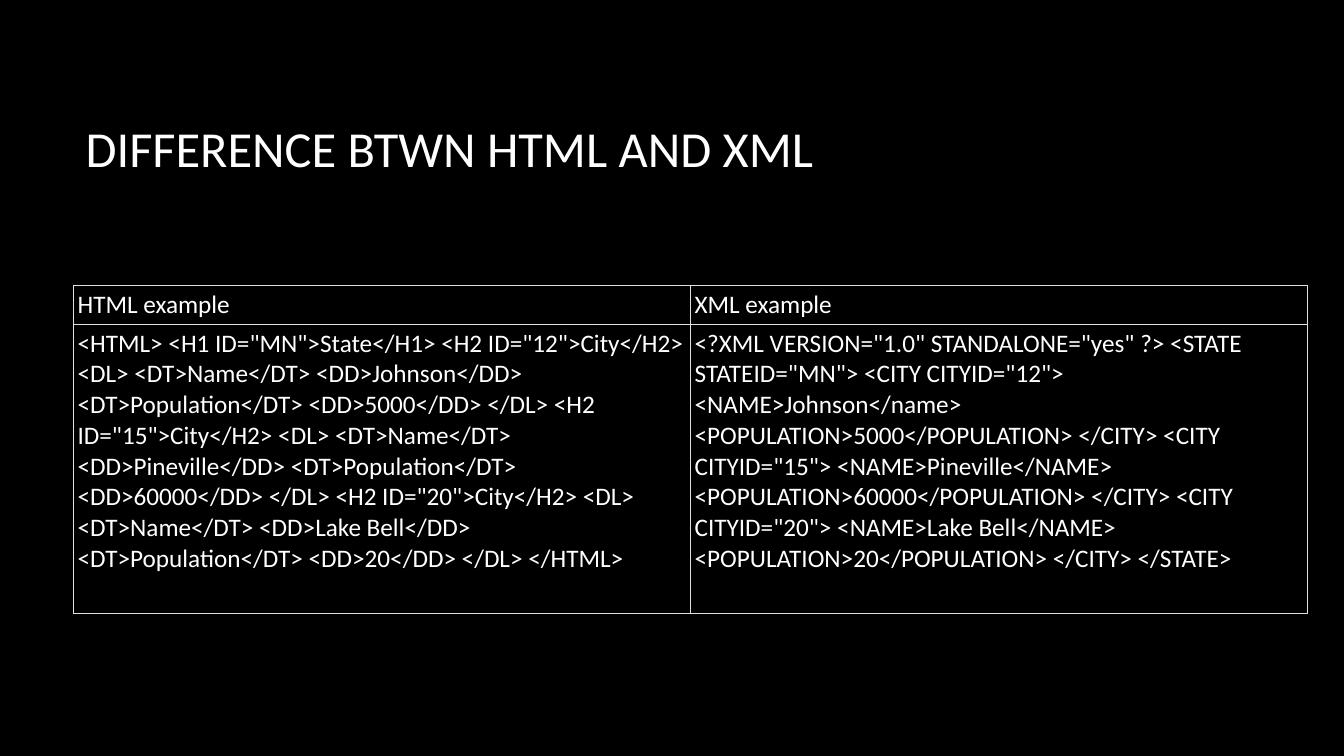
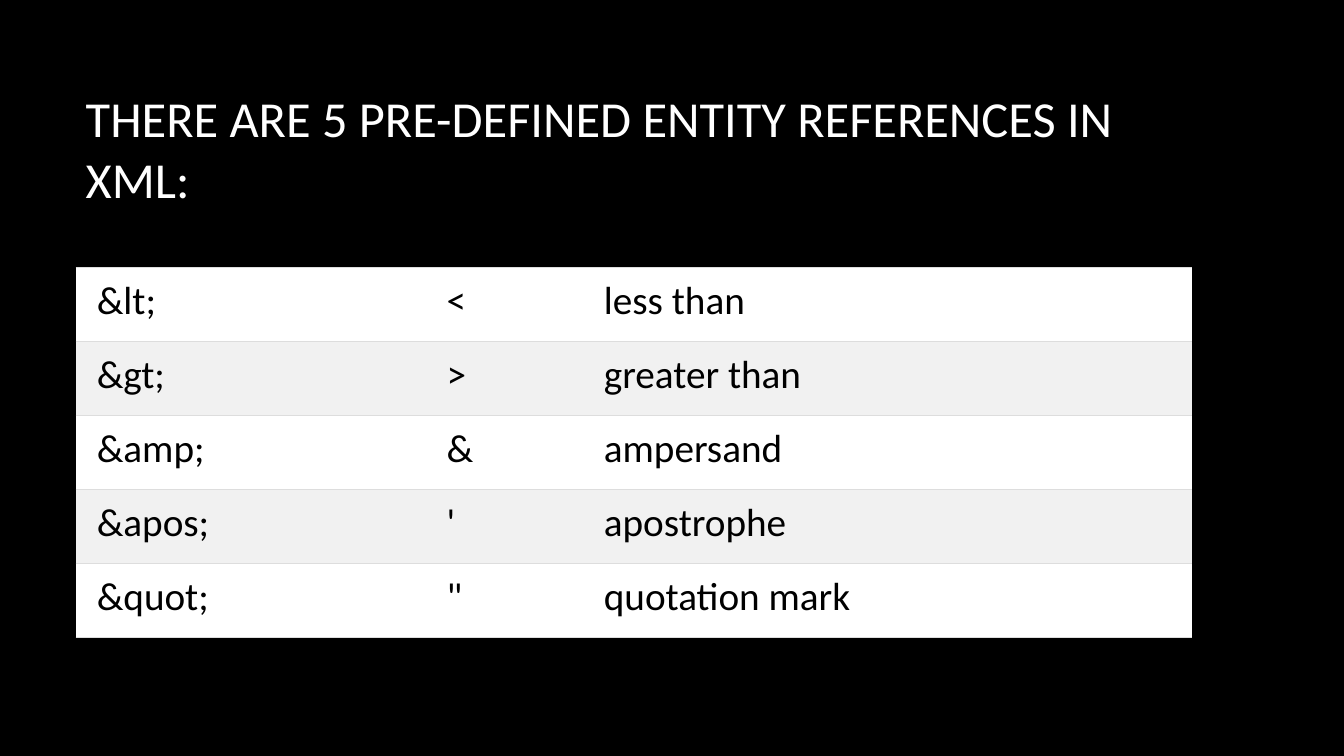
import dataclasses

import lxml.etree
import pptx
import pptx.dml.color
import pptx.enum.text
import pptx.oxml.ns
import pptx.util

Inches = pptx.util.Inches
Pt = pptx.util.Pt


@dataclasses.dataclass(frozen=True)
class Theme:
    font: str = "Calibri"
    background: str = "000000"
    light_text: str = "FFFFFF"
    dark_text: str = "000000"
    grid: str = "E0E0E0"
    rule: str = "DDDDDD"
    bands: tuple = ("FFFFFF", "F1F1F1")
    title_size: int = 36
    code_size: int = 18
    entity_size: int = 28
    border_width: float = 0.6


class Deck:
    """Builds slides with one theme and keeps track of the current slide."""

    def __init__(self, theme):
        self.theme = theme
        self.prs = pptx.Presentation()
        self.prs.slide_width = Inches(13.33)
        self.prs.slide_height = Inches(7.5)
        self.layout = self.prs.slide_layouts.get_by_name("Title Only")
        self.fill(self.prs.slide_master.background.fill, theme.background)
        self.slide = None

    def fill(self, fill, color):
        if color is None:
            fill.background()
        else:
            fill.solid()
            fill.fore_color.rgb = pptx.dml.color.RGBColor.from_string(color)

    def format(self, p, size, color):
        p.font.name = self.theme.font
        p.font.size = Pt(size)
        p.font.color.rgb = pptx.dml.color.RGBColor.from_string(color)
        p.alignment = pptx.enum.text.PP_ALIGN.LEFT

    def add_slide(self, title):
        self.slide = self.prs.slides.add_slide(self.layout)
        sp = self.slide.shapes.title
        sp.left, sp.top = Inches(0.75), Inches(0.67)
        sp.width, sp.height = Inches(11.08), Inches(1.59)
        tf = sp.text_frame
        tf.text = title
        tf.word_wrap = True
        tf.auto_size = pptx.enum.text.MSO_AUTO_SIZE.NONE
        tf.vertical_anchor = pptx.enum.text.MSO_ANCHOR.MIDDLE
        self.format(tf.paragraphs[0], self.theme.title_size, self.theme.light_text)

    def add_borders(self, cell, color, sides):
        qn = pptx.oxml.ns.qn
        tc_pr = cell._tc.get_or_add_tcPr()
        for side in "LRTB":
            ln = lxml.etree.SubElement(tc_pr, qn(f"a:ln{side}"))
            if side in sides:
                ln.set("w", str(Pt(self.theme.border_width)))
                solid = lxml.etree.SubElement(ln, qn("a:solidFill"))
                lxml.etree.SubElement(solid, qn("a:srgbClr"), val=color)
            else:
                lxml.etree.SubElement(ln, qn("a:noFill"))

    def add_table(self, rows, left, top, widths, heights, size, color,
                  border, sides, inset, first_inset, bands):
        frame = self.slide.shapes.add_table(
            len(rows), len(widths), Inches(left), Inches(top),
            Inches(sum(widths)), Inches(sum(heights)))
        table = frame.table
        table.first_row = table.horz_banding = False
        for column, width in zip(table.columns, widths):
            column.width = Inches(width)
        for i, (row, height) in enumerate(zip(rows, heights)):
            table.rows[i].height = Inches(height)
            for j, text in enumerate(row):
                cell = table.cell(i, j)
                cell.text = text
                cell.margin_left = Inches(inset if j else first_inset)
                cell.margin_right = cell.margin_top = cell.margin_bottom = Inches(inset)
                self.add_borders(cell, border, sides)
                self.fill(cell.fill, bands[i % len(bands)])
                self.format(cell.text_frame.paragraphs[0], size, color)


theme = Theme()
deck = Deck(theme)

html_example = (
    '<HTML> <H1 ID="MN">State</H1> <H2 ID="12">City</H2> <DL> <DT>Name</DT> '
    '<DD>Johnson</DD> <DT>Population</DT> <DD>5000</DD> </DL> '
    '<H2 ID="15">City</H2> <DL> <DT>Name</DT> <DD>Pineville</DD> '
    '<DT>Population</DT> <DD>60000</DD> </DL> <H2 ID="20">City</H2> <DL> '
    '<DT>Name</DT> <DD>Lake Bell</DD> <DT>Population</DT> <DD>20</DD> </DL> </HTML>')
xml_example = (
    '<?XML VERSION="1.0" STANDALONE="yes" ?> <STATE STATEID="MN"> '
    '<CITY CITYID="12"> <NAME>Johnson</name> <POPULATION>5000</POPULATION> </CITY> '
    '<CITY CITYID="15"> <NAME>Pineville</NAME> <POPULATION>60000</POPULATION> </CITY> '
    '<CITY CITYID="20"> <NAME>Lake Bell</NAME> <POPULATION>20</POPULATION> </CITY> '
    '</STATE>')

deck.add_slide("DIFFERENCE BTWN HTML AND XML")
deck.add_table(
    [("HTML example", "XML example"), (html_example, xml_example)],
    left=0.73, top=2.83, widths=[6.12, 6.12], heights=[0.38, 2.87],
    size=theme.code_size, color=theme.light_text, border=theme.grid,
    sides="LRTB", inset=0.04, first_inset=0.04, bands=(None,))

entities = [
    ("&lt;", "<", "less than"),
    ("&gt;", ">", "greater than"),
    ("&amp;", "&", "ampersand"),
    ("&apos;", "'", "apostrophe"),
    ("&quot;", '"', "quotation mark"),
]

deck.add_slide("THERE ARE 5 PRE-DEFINED ENTITY REFERENCES IN XML:")
deck.add_table(
    entities, left=0.75, top=2.65, widths=[3.58, 1.56, 5.93],
    heights=[3.67 / len(entities)] * len(entities),
    size=theme.entity_size, color=theme.dark_text, border=theme.rule,
    sides="TB", inset=0.1, first_inset=0.21, bands=theme.bands)

deck.prs.save("out.pptx")
